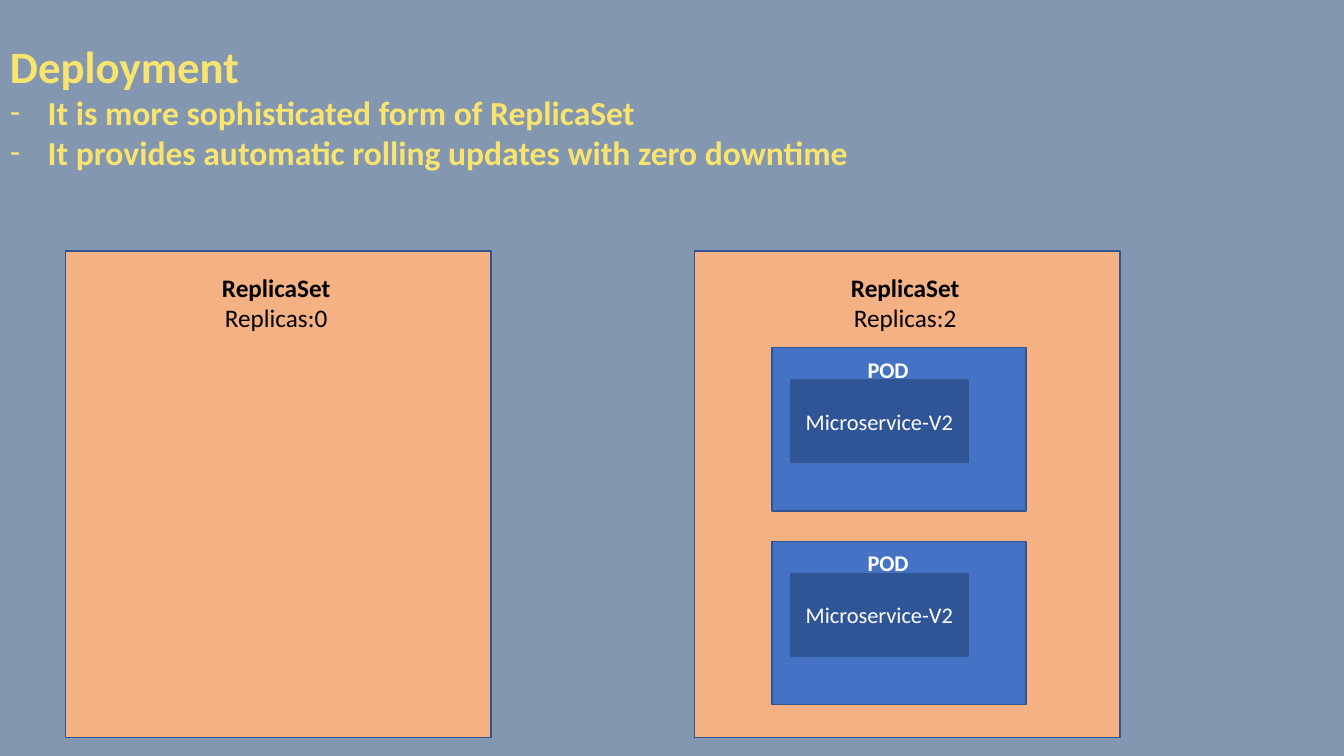
from lxml.etree import SubElement
from pptx import Presentation
from pptx.dml.color import RGBColor
from pptx.enum.shapes import MSO_SHAPE
from pptx.enum.text import MSO_ANCHOR, PP_ALIGN
from pptx.oxml.ns import qn
from pptx.util import Pt

FONT = "Calibri"
YELLOW = "F8E46E"
POD_STEP = 138.24


def paint(target, color):
    target.rgb = RGBColor.from_string(color)


def fill_solid(fill, color):
    fill.solid()
    paint(fill.fore_color, color)


def style(para, size, color, bold=False, align=PP_ALIGN.LEFT):
    para.alignment = align
    para.font.name = FONT
    para.font.size = Pt(size)
    para.font.bold = bold
    paint(para.font.color, color)


def add_dash(para):
    properties = para._p.get_or_add_pPr()
    properties.set("marL", str(Pt(27)))
    properties.set("indent", str(-Pt(27)))
    SubElement(properties, qn("a:buFont")).set("typeface", FONT)
    SubElement(properties, qn("a:buChar")).set("char", "-")


def add_text(shapes, left, top, width, height, lines):
    box = shapes.add_textbox(Pt(left), Pt(top), Pt(width), Pt(height))
    frame = box.text_frame
    frame.word_wrap = True
    frame.text = "\n".join(lines)
    return frame.paragraphs


def add_panel(shapes, left, top, width, height, color):
    panel = shapes.add_shape(
        MSO_SHAPE.RECTANGLE, Pt(left), Pt(top), Pt(width), Pt(height)
    )
    panel.shadow.inherit = False
    fill_solid(panel.fill, color)
    paint(panel.line.color, "325491")
    panel.line.width = Pt(1)
    return panel


def add_heading(page):
    lines = [
        "Deployment",
        "It is more sophisticated form of ReplicaSet",
        "It provides automatic rolling updates with zero downtime",
    ]
    title, *points = add_text(page.shapes, 0, 23.76, 933.12, 143.28, lines)
    style(title, 32, YELLOW, True)
    for point in points:
        add_dash(point)
        style(point, 24, YELLOW, True)


def add_pod(shapes, left, top):
    add_panel(shapes, left, top, 181.44, 116.64, "4472C4")
    label = add_text(shapes, left + 41.76, top + 2.16, 82.08, 26.64, ["POD"])[0]
    style(label, 16, "FFFFFF", True, PP_ALIGN.CENTER)
    panel = add_panel(shapes, left + 13.32, top + 23.04, 126.72, 59.04, "2F5597")
    frame = panel.text_frame
    frame.word_wrap = True
    frame.vertical_anchor = MSO_ANCHOR.MIDDLE
    frame.text = "Microservice-V2"
    style(frame.paragraphs[0], 16, "FFFFFF", align=PP_ALIGN.CENTER)


def add_replica_set(page, left, replicas):
    shapes = page.shapes.add_group_shape().shapes
    add_panel(shapes, left, 179.28, 303.84, 347.76, "F4B183")
    lines = ["ReplicaSet", f"Replicas:{replicas}"]
    name, count = add_text(shapes, left + 59.76, 190.8, 181.44, 51.12, lines)
    style(name, 18, "000000", True, PP_ALIGN.CENTER)
    style(count, 18, "000000", align=PP_ALIGN.CENTER)
    for index in range(replicas):
        add_pod(shapes, left + 55.44, 248.4 + index * POD_STEP)


def main():
    deck = Presentation()
    deck.slide_width, deck.slide_height = Pt(960), Pt(540)
    page = deck.slides.add_slide(deck.slide_layouts[6])
    fill_solid(page.background.fill, "8497B0")
    add_heading(page)
    add_replica_set(page, 496.08, 2)
    add_replica_set(page, 46.8, 0)
    deck.save("out.pptx")


if __name__ == "__main__":
    main()
